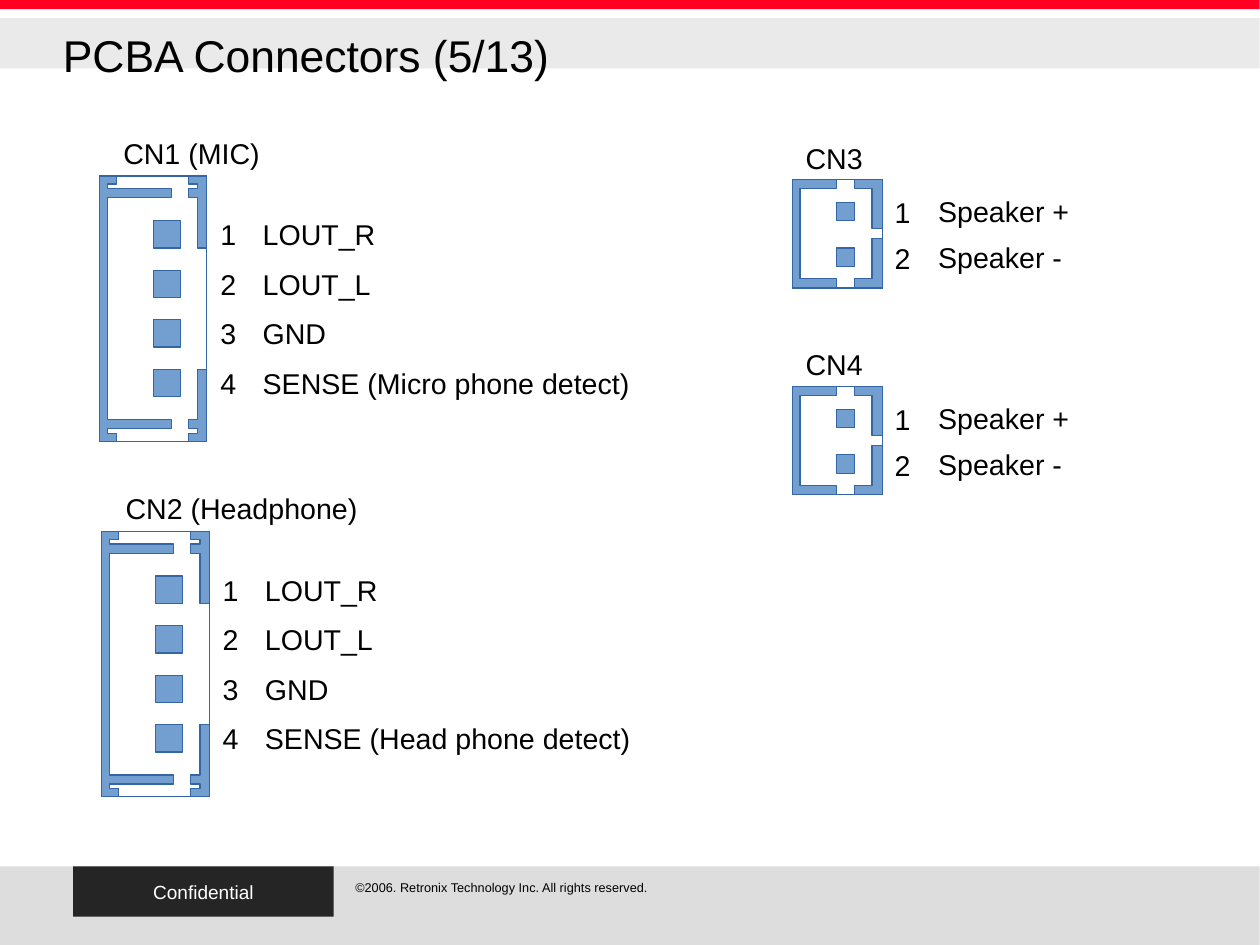
from pptx import Presentation
from pptx.dml.color import RGBColor
from pptx.enum.shapes import MSO_SHAPE
from pptx.enum.text import MSO_ANCHOR, MSO_AUTO_SIZE, PP_ALIGN
from pptx.util import Cm, Inches, Pt

# Content
TITLE = "PCBA Connectors (5/13)"
FOOTER_LABEL = "Confidential"
COPYRIGHT = "©2006. Retronix Technology Inc. All rights reserved."

# Bands: left, top, width, height, fill
BANDS = [
    (0, 0, 11.02, 0.08, "FF0022"),
    (0, 0.16, 11.02, 0.44, "EAEAEA"),
    (0, 7.58, 11.02, 0.71, "DDDDDD"),
    (0.64, 7.58, 2.28, 0.44, "252525"),
]

# Connector types; every offset is measured from the housing's top left corner.
# Each rail is the upper half of an outline, mirrored to make the lower half.
FOUR_PIN = {
    "size": (0.94, 2.32), "pin": (0.47, 0.39, 0.24), "pitch": 1.3 / 3,
    "name": (0.11, -0.40), "number": (0.96, -0.08), "signal": (1.33, -0.08),
    "left_rail": [(0, 0), (0.15, 0), (0.15, 0.07), (0.07, 0.07), (0.07, 0.11),
                  (0.63, 0.11), (0.63, 0.19), (0.07, 0.19)],
    "right_rail": [(0.78, 0), (0.94, 0), (0.94, 0.63), (0.86, 0.63), (0.86, 0.19),
                   (0.78, 0.19), (0.78, 0.11), (0.86, 0.11), (0.86, 0.07), (0.78, 0.07)],
}
TWO_PIN = {
    "size": (0.79, 0.95), "pin": (0.39, 0.20, 0.16), "pitch": 0.4,
    "name": (0.02, -0.39), "number": (0.80, -0.11), "signal": (1.18, -0.12),
    "left_rail": [(0, 0), (0.39, 0), (0.39, 0.08), (0.07, 0.08)],
    "right_rail": [(0.55, 0), (0.79, 0), (0.79, 0.43), (0.70, 0.43), (0.70, 0.08),
                   (0.55, 0.08)],
}
LINE_OUT = [("LOUT_R", 1.2), ("LOUT_L", 1.16), ("GND", 0.77)]
SPEAKER = [("Speaker +", 1.36), ("Speaker -", 1.3)]

# Connectors: type, left, top, (name, width), [(signal, width)]
CONNECTORS = [
    (FOUR_PIN, 0.87, 1.54, ("CN1 (MIC)", 1.41),
     LINE_OUT + [("SENSE (Micro phone detect)", 3.43)]),
    (FOUR_PIN, 0.89, 4.65, ("CN2 (Headphone)", 2.25),
     LINE_OUT + [("SENSE (Head phone detect)", 3.43)]),
    (TWO_PIN, 6.93, 1.57, ("CN3", 0.76), SPEAKER),
    (TWO_PIN, 6.93, 3.38, ("CN4", 0.76), SPEAKER),
]

BLUE, OUTLINE, WHITE, BLACK = "729FCF", "3465A4", "FFFFFF", "000000"

presentation = Presentation()
presentation.slide_width = Cm(28)
presentation.slide_height = Cm(21)
slide = presentation.slides.add_slide(presentation.slide_layouts[5])


def color(hex_value):
    return RGBColor.from_string(hex_value)


def paint(shape, fill, line=None):
    shape.shadow.inherit = False
    shape.fill.solid()
    shape.fill.fore_color.rgb = color(fill)
    if line:
        shape.line.color.rgb = color(line)
        shape.line.width = Pt(0)
    else:
        shape.line.fill.background()


def add_rectangle(left, top, width, height, fill, line=None):
    shape = slide.shapes.add_shape(MSO_SHAPE.RECTANGLE, Inches(left), Inches(top),
                                   Inches(width), Inches(height))
    paint(shape, fill, line)
    return shape


def write(shape, text, size, ink=BLACK, align=PP_ALIGN.LEFT):
    shape.text_frame.text = text
    paragraph = shape.text_frame.paragraphs[0]
    paragraph.alignment = align
    paragraph.font.name = "Arial"
    paragraph.font.size = Pt(size)
    paragraph.font.color.rgb = color(ink)


def add_label(left, top, width, text, size=18, height=0.38):
    box = slide.shapes.add_textbox(Inches(left), Inches(top), Inches(width), Inches(height))
    box.text_frame.word_wrap = False
    box.text_frame.auto_size = MSO_AUTO_SIZE.SHAPE_TO_FIT_TEXT
    write(box, text, size)


def add_outline(left, top, contours):
    contours = [[(Inches(left + x), Inches(top + y)) for x, y in contour]
                for contour in contours]
    builder = slide.shapes.build_freeform(*contours[0][0])
    builder.add_line_segments(contours[0][1:])
    for contour in contours[1:]:
        builder.move_to(*contour[0])
        builder.add_line_segments(contour[1:])
    paint(builder.convert_to_shape(), BLUE, OUTLINE)


def add_connector_drawing(kind, left, top, name, signals):
    width, height = kind["size"]
    pin_x, pin_y, pin_size = kind["pin"]

    def mirror(points):
        return [(x, height - y) for x, y in reversed(points)]

    add_label(left + kind["name"][0], top + kind["name"][1], name[1], name[0])
    add_rectangle(left, top, width, height, WHITE, OUTLINE)
    left_rail, right_rail = kind["left_rail"], kind["right_rail"]
    add_outline(left, top, [left_rail + mirror(left_rail) + left_rail[:1]])
    add_outline(left, top, [half + half[:1] for half in (right_rail, mirror(right_rail))])

    # Pins with number and signal
    for index, (signal, signal_width) in enumerate(signals):
        pin_top = top + pin_y + index * kind["pitch"]
        add_rectangle(left + pin_x, pin_top, pin_size, pin_size, BLUE, OUTLINE)
        for (x, y), text, text_width in ((kind["number"], str(index + 1), 0.34),
                                         (kind["signal"], signal, signal_width)):
            add_label(left + x, pin_top + y, text_width, text)


# Bands and footer
bands = [add_rectangle(*band) for band in BANDS]
footer = bands[-1]
footer.text_frame.vertical_anchor = MSO_ANCHOR.MIDDLE
write(footer, FOOTER_LABEL, 12, WHITE, PP_ALIGN.CENTER)
add_label(3.01, 7.65, 3.82, COPYRIGHT, size=8, height=0.24)

# Title, in front of the bands
title = slide.shapes.title
footer.element.addnext(title.element)
title.left, title.top = Inches(0.55), Inches(0.16)
title.width, title.height = Inches(7.48), Inches(0.63)
frame = title.text_frame
frame.margin_left = frame.margin_right = frame.margin_top = frame.margin_bottom = 0
frame.vertical_anchor = MSO_ANCHOR.MIDDLE
frame.auto_size = MSO_AUTO_SIZE.NONE
write(title, TITLE, 28)

# Connectors
for connector in CONNECTORS:
    add_connector_drawing(*connector)

presentation.save("out.pptx")
